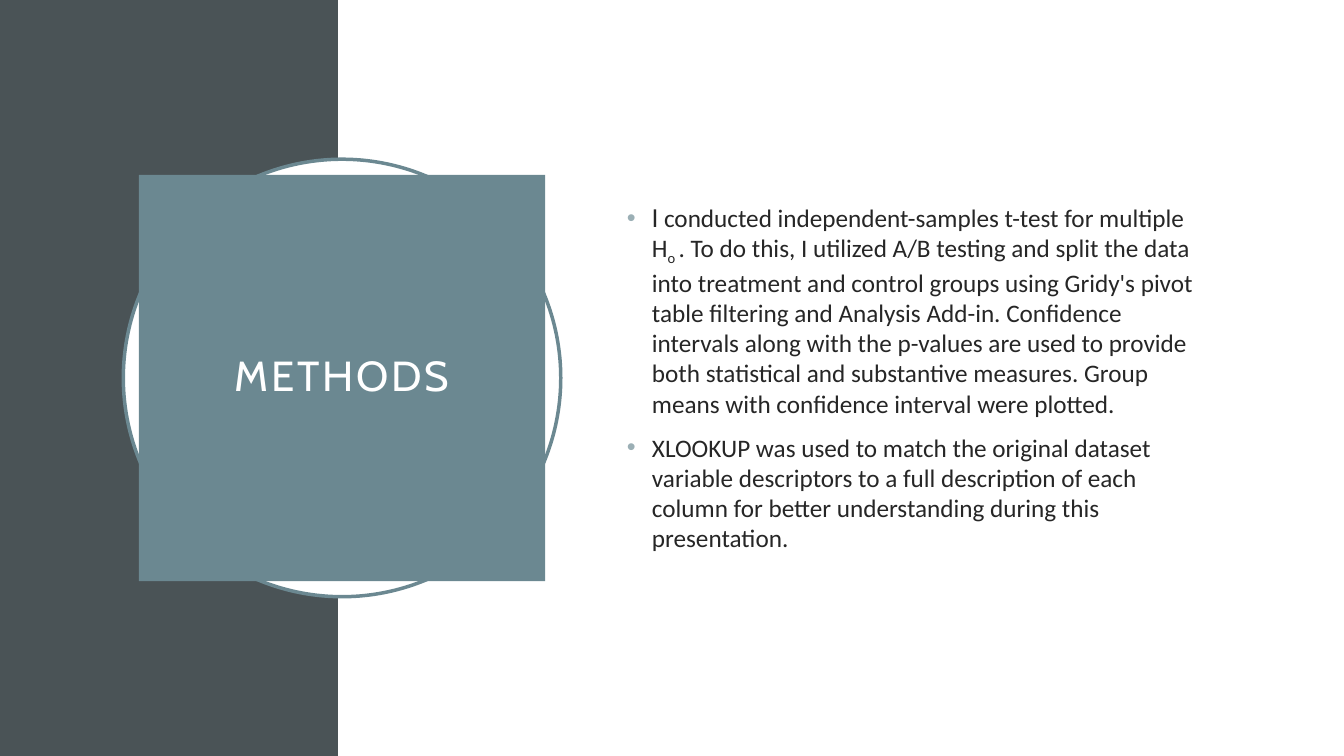
from dataclasses import dataclass

from lxml import etree
from pptx import Presentation
from pptx.dml.color import RGBColor
from pptx.enum.shapes import MSO_SHAPE
from pptx.enum.text import MSO_ANCHOR, PP_ALIGN
from pptx.oxml.ns import qn
from pptx.util import Inches, Pt

RECTANGLE = MSO_SHAPE.RECTANGLE
OVAL = MSO_SHAPE.OVAL
MIDDLE = MSO_ANCHOR.MIDDLE
CENTER = PP_ALIGN.CENTER

SLIDE_WIDTH = Inches(13.333)
SLIDE_HEIGHT = Inches(7.5)
COLORS = {
    "white": "FFFFFF",
    "slate": "4A5356",
    "teal": "6B8891",
    "bullet": "9BAFB5",
    "text": "262626",
}
HEADING_FONT = "Cabin"
BODY_FONT = "Calibri"


@dataclass(frozen=True)
class Box:
    """Place and size in percent of the slide's width and height."""
    left: float
    top: float
    width: float
    height: float

    def lengths(self) -> tuple[int, int, int, int]:
        return (
            round(SLIDE_WIDTH * self.left / 100),
            round(SLIDE_HEIGHT * self.top / 100),
            round(SLIDE_WIDTH * self.width / 100),
            round(SLIDE_HEIGHT * self.height / 100),
        )


@dataclass(frozen=True)
class Panel:
    kind: MSO_SHAPE
    box: Box
    fill: str
    line: str | None = None


@dataclass(frozen=True)
class Piece:
    text: str
    font: str = BODY_FONT
    subscript: bool = False


def badge_box(width: float) -> Box:
    """Give an equal-sided box centred on the badge beside the dark band."""
    height = width * SLIDE_WIDTH / SLIDE_HEIGHT
    return Box(25.45 - width / 2, 50 - height / 2, width, height)


BAND_WIDTH = 25.17
PANELS = [
    Panel(RECTANGLE, Box(0, 0, BAND_WIDTH, 100), "slate"),
    Panel(RECTANGLE, Box(BAND_WIDTH, 0, 100 - BAND_WIDTH, 100), "white"),
    Panel(OVAL, badge_box(32.55), "white", "teal"),
]
TITLE_PANEL = Panel(RECTANGLE, badge_box(30.23), "teal")
BODY_BOX = Box(45.9, 20.4, 43.65, 59.1)
BULLETS = [
    [
        Piece("I ", HEADING_FONT),
        Piece("conducted independent-samples t-test for multiple H"),
        Piece("o ", subscript=True),
        Piece(
            ". To do this, I utilized A/B testing and split the data into "
            "treatment and control groups using Gridy's pivot table filtering "
            "and Analysis Add-in. Confidence intervals along with the p-values "
            "are used to provide both statistical and substantive measures. "
            "Group means with confidence interval were plotted."
        ),
    ],
    [
        Piece(
            "XLOOKUP was used to match the original dataset variable "
            "descriptors to a full description of each column for better "
            "understanding during this presentation."
        ),
    ],
]


def rgb(name: str) -> RGBColor:
    return RGBColor.from_string(COLORS[name])


def style_run(run, font: str, size: float, color: str) -> None:
    run.font.name = font
    run.font.size = Pt(size)
    run.font.color.rgb = rgb(color)


def add_panel(slide, panel: Panel):
    shape = slide.shapes.add_shape(panel.kind, *panel.box.lengths())
    shape.shadow.inherit = False
    shape.fill.solid()
    shape.fill.fore_color.rgb = rgb(panel.fill)
    if panel.line:
        shape.line.color.rgb = rgb(panel.line)
        shape.line.width = Pt(2.5)
    else:
        shape.line.fill.background()
    return shape


def add_title(slide, text: str) -> None:
    text_frame = add_panel(slide, TITLE_PANEL).text_frame
    text_frame.text = text
    text_frame.word_wrap = True
    text_frame.vertical_anchor = MIDDLE
    paragraph = text_frame.paragraphs[0]
    paragraph.alignment = CENTER
    paragraph.line_spacing = 0.9
    run = paragraph.runs[0]
    style_run(run, HEADING_FONT, 30, "white")
    run.font._element.set("spc", "200")


def set_bullet(paragraph) -> None:
    properties = paragraph._p.get_or_add_pPr()
    indent = Inches(0.25)
    properties.set("marL", str(indent))
    properties.set("indent", str(-indent))
    color = etree.SubElement(properties, qn("a:buClr"))
    etree.SubElement(color, qn("a:srgbClr"), val=COLORS["bullet"])
    etree.SubElement(properties, qn("a:buFont"), typeface="Arial")
    etree.SubElement(properties, qn("a:buChar"), char="•")


def add_body(slide, bullets: list[list[Piece]]) -> None:
    text_frame = slide.shapes.add_textbox(*BODY_BOX.lengths()).text_frame
    text_frame.word_wrap = True
    text_frame.vertical_anchor = MIDDLE
    for index, pieces in enumerate(bullets):
        paragraph = text_frame.add_paragraph() if index else text_frame.paragraphs[0]
        paragraph.space_before = Pt(10)
        set_bullet(paragraph)
        for piece in pieces:
            run = paragraph.add_run()
            run.text = piece.text
            style_run(run, piece.font, 18, "text")
            if piece.subscript:
                run.font._element.set("baseline", "-25000")


def main() -> None:
    presentation = Presentation()
    presentation.slide_width = SLIDE_WIDTH
    presentation.slide_height = SLIDE_HEIGHT
    slide = presentation.slides.add_slide(presentation.slide_layouts[6])
    for panel in PANELS:
        add_panel(slide, panel)
    add_title(slide, "METHODS")
    add_body(slide, BULLETS)
    presentation.save("out.pptx")


if __name__ == "__main__":
    main()
